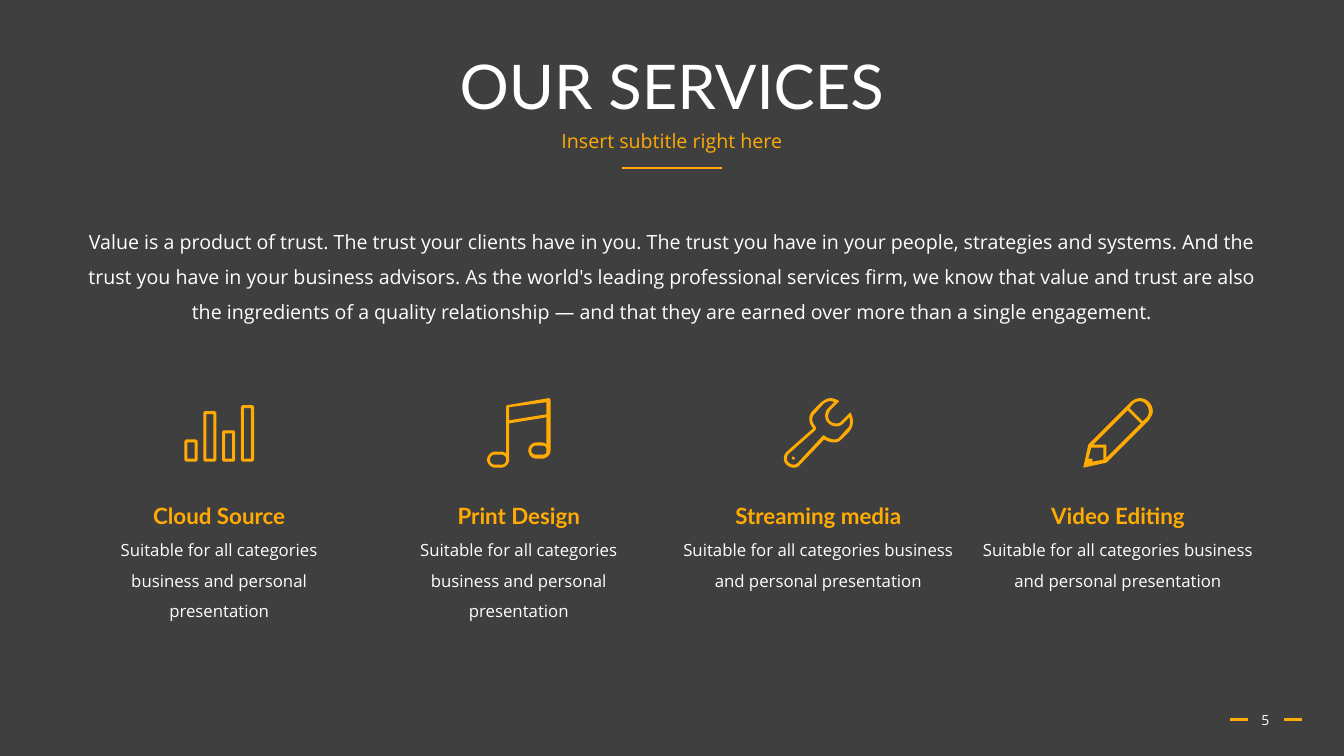
from dataclasses import dataclass

from lxml import etree
from pptx import Presentation
from pptx.dml.color import RGBColor
from pptx.enum.shapes import MSO_CONNECTOR
from pptx.enum.text import MSO_ANCHOR, MSO_AUTO_SIZE, PP_ALIGN
from pptx.oxml.ns import qn
from pptx.util import Pt

STRAIGHT = MSO_CONNECTOR.STRAIGHT
TOP, MIDDLE = MSO_ANCHOR.TOP, MSO_ANCHOR.MIDDLE
FIT, FIXED = MSO_AUTO_SIZE.SHAPE_TO_FIT_TEXT, MSO_AUTO_SIZE.NONE
CENTER = PP_ALIGN.CENTER


@dataclass(frozen=True)
class Theme:
    """Colours, fonts and sizes of the deck."""
    back: RGBColor = RGBColor(0x3F, 0x3F, 0x3F)
    text: RGBColor = RGBColor(0xFF, 0xFF, 0xFF)
    accent: RGBColor = RGBColor(0xFF, 0xAB, 0x03)
    head: str = "Lato"
    body: str = "Open Sans"
    title: int = 44
    lead: int = 14
    heading: int = 16
    small: int = 12
    number: int = 10
    rule: float = 1.75


def flatten(contour, steps=8):
    """Turn points and (x1, y1, x2, y2, x, y) curves into plain points."""
    points = [contour[0]]
    for seg in contour[1:]:
        if len(seg) == 2:
            points.append(seg)
            continue
        ends = [points[-1], seg[:2], seg[2:4], seg[4:]]
        for i in range(1, steps + 1):
            t = i / steps
            w = ((1 - t) ** 3, 3 * t * (1 - t) ** 2, 3 * t * t * (1 - t), t ** 3)
            points.append(tuple(sum(k * e[a] for k, e in zip(w, ends)) for a in (0, 1)))
    return points


class Builder:
    """Draws styled elements on one slide."""

    def __init__(self, s, theme):
        """Keep the slide and theme, and paint the background."""
        self.s, self.t = s, theme
        s.background.fill.solid()
        s.background.fill.fore_color.rgb = theme.back

    def rule(self, x1, x2, y):
        """Draw a horizontal accent line."""
        line = self.s.shapes.add_connector(STRAIGHT, Pt(x1), Pt(y), Pt(x2), Pt(y))
        line.line.color.rgb = self.t.accent
        line.line.width = Pt(self.t.rule)
        etree.SubElement(line._element.spPr, qn("a:effectLst"))

    def text(self, text, box, size, font, color, bold=False, spacing=None,
             before=None, anchor=TOP, wrap=True, fit=FIXED):
        """Add a centred one-paragraph text box."""
        sp = self.s.shapes.add_textbox(*map(Pt, box))
        tf = sp.text_frame
        tf.text = text
        tf.word_wrap, tf.auto_size, tf.vertical_anchor = wrap, fit, anchor
        p = tf.paragraphs[0]
        p.alignment = CENTER
        if spacing:
            p.line_spacing = spacing
        if before:
            p.space_before = Pt(before)
        r = p.runs[0].font
        r.name, r.size, r.bold, r.color.rgb = font, Pt(size), bold, color

    def icon(self, contours, cx, top, unit=0.72, fine=100):
        """Fill contours, holes included, centred on cx."""
        paths = [[(x * fine, y * fine) for x, y in flatten(c)] for c in contours]
        width = max(x for path in paths for x, _ in path) / fine * unit
        fb = self.s.shapes.build_freeform(*paths[0][0], scale=Pt(unit) / fine)
        for i, path in enumerate(paths):
            if i:
                fb.move_to(*path[0])
            fb.add_line_segments(path[1:], close=True)
        sp = fb.convert_to_shape(Pt(cx - width / 2), Pt(top))
        sp.shadow.inherit = False
        sp.fill.solid()
        sp.fill.fore_color.rgb = self.t.accent
        sp.line.fill.background()


def bars(tops, step=18.67, width=13, bottom=63, wall=2.5):
    """Return outer and inner outlines of a row of hollow bars."""
    result = []
    for i, top in enumerate(tops):
        x, right = i * step, i * step + width
        result.append([(x + 1.5, top), (right - 1.5, top), (right, top + 1.5),
                       (right, bottom - 1.5), (right - 1.5, bottom),
                       (x + 1.5, bottom), (x, bottom - 1.5), (x, top + 1.5)])
        result.append([(x + wall + 0.5, top + wall + 0.5), (right - wall - 0.5, top + wall + 0.5),
                       (right - wall - 0.5, bottom - wall - 0.5), (x + wall + 0.5, bottom - wall - 0.5)])
    return result


BARS = bars((41, 13, 32, 7))
NOTE = [
    [(61, 0), (20, 7), (19, 8), (19, 55), (18, 54, 16, 53, 14, 53), (8, 53),
     (4, 53, 0, 57, 0, 61), (0, 65, 4, 69, 8, 69), (14, 69), (18, 69, 22, 65, 22, 61),
     (22, 25), (59, 19), (59, 46), (58, 45, 57, 44, 55, 44), (49, 44),
     (44, 44, 41, 48, 41, 52), (41, 56, 44, 60, 49, 60), (55, 60),
     (59, 60, 63, 56, 63, 52), (63, 2), (63, 1, 62, 0, 61, 0)],
    [(14, 66), (8, 66), (5, 66, 3, 64, 3, 61), (3, 58, 5, 56, 8, 56), (14, 56),
     (17, 56, 19, 58, 19, 61), (19, 64, 17, 66, 14, 66)],
    [(55, 56), (49, 56), (46, 56, 44, 55, 44, 52), (44, 49, 46, 47, 49, 47), (55, 47),
     (58, 47, 59, 49, 59, 52), (59, 55, 58, 56, 55, 56)],
    [(59, 16), (22, 22), (22, 9), (59, 4)],
]
WRENCH = [
    [(66, 14), (65, 15), (57, 23), (55, 25, 54, 25, 52, 25), (47, 25, 44, 22, 44, 18),
     (44, 15, 45, 14, 46, 12), (44, 10), (42, 12, 41, 14, 41, 18),
     (41, 23, 46, 28, 52, 28), (55, 28, 57, 27, 59, 25), (65, 19),
     (66, 24, 66, 28, 63, 30), (55, 39), (54, 40, 52, 41, 50, 41),
     (50, 41, 45, 41, 40, 37), (39, 37), (38, 38), (14, 64), (13, 65, 11, 66, 10, 66),
     (6, 66, 3, 63, 3, 60), (3, 58, 4, 56, 5, 55), (31, 32), (32, 30), (32, 29),
     (27, 23, 27, 19, 31, 15), (39, 6), (41, 4, 44, 3, 46, 3), (47, 3, 48, 3, 50, 4),
     (44, 10), (46, 12), (54, 4), (55, 3), (52, 1, 49, 0, 46, 0), (43, 0, 40, 2, 37, 4),
     (29, 12), (23, 18, 25, 25, 29, 30), (3, 53), (1, 55, 0, 57, 0, 60),
     (0, 65, 5, 69, 10, 69), (12, 69, 15, 68, 16, 66), (40, 41),
     (45, 44, 50, 44, 50, 44), (53, 44, 55, 43, 57, 41), (65, 33),
     (69, 28, 70, 21, 66, 14)],
    [(8, 58), (8, 60), (8, 60, 9, 61, 10, 61), (11, 60), (10, 58)],
]
PENCIL = [
    [(56, 0), (53, 0, 49, 2, 47, 4), (5, 46), (0, 69), (23, 64), (65, 22),
     (67, 19, 69, 16, 69, 13), (69, 6, 63, 0, 56, 0)],
    [(20, 61), (9, 63), (9, 60), (5, 60), (8, 49), (20, 49)],
    [(23, 59), (23, 47), (22, 46), (10, 46), (44, 12), (57, 25)],
    [(63, 19), (59, 23), (46, 10), (49, 6), (49, 6, 52, 3, 56, 3),
     (61, 3, 65, 8, 65, 13), (65, 16, 64, 18, 63, 19)],
]
SERVICES = [
    ("Cloud Source", BARS, 111, 196.5),
    ("Print Design", NOTE, 104, 192),
    ("Streaming media", WRENCH, 135.5, 207.5),
    ("Video Editing", PENCIL, 111.5, 207.5),
]
DETAIL = "Suitable for all categories business and personal presentation"
INTRO = (
    "Value is a product of trust. The trust your clients have in you. The trust you have in "
    "your people, strategies and systems. And the trust you have in your business advisors. "
    "As the world's leading professional services firm, we know that value and trust are also "
    "the ingredients of a quality relationship — and that they are earned over more than a "
    "single engagement."
)


def main():
    """Build the services slide and save it."""
    prs = Presentation()
    prs.slide_width, prs.slide_height = Pt(960), Pt(540)
    t = Theme()
    b = Builder(prs.slides.add_slide(prs.slide_layouts[6]), t)
    for x1, x2, y in ((444, 515.5, 120), (878.5, 891.5, 514), (917, 930, 514)):
        b.rule(x1, x2, y)
    b.text("OUR SERVICES", (66, 29, 828, 70.5), t.title, t.head, t.text,
           spacing=0.9, anchor=MIDDLE)
    b.text("Insert subtitle right here", (66, 90.5, 828, 29), t.lead, t.body, t.accent,
           spacing=0.9, before=10)
    b.text("5", (882.5, 499.5, 42.5, 29), t.number, t.body, t.text, anchor=MIDDLE)
    b.text(INTRO, (50.5, 152, 859.5, 100), t.lead, t.body, t.text, spacing=1.5)
    for i, (name, icon, name_w, detail_w) in enumerate(SERVICES):
        cx = 156.6 + 214 * i
        b.text(name, (cx - name_w / 2, 355, name_w, 26.5), t.heading, t.head, t.accent,
               bold=True, wrap=False, fit=FIT)
        b.text(DETAIL, (cx - detail_w / 2, 375, detail_w, 72.5), t.small, t.body, t.text,
               spacing=1.5, fit=FIT)
        b.icon(icon, cx, 284.4)
    prs.save("out.pptx")


main()
